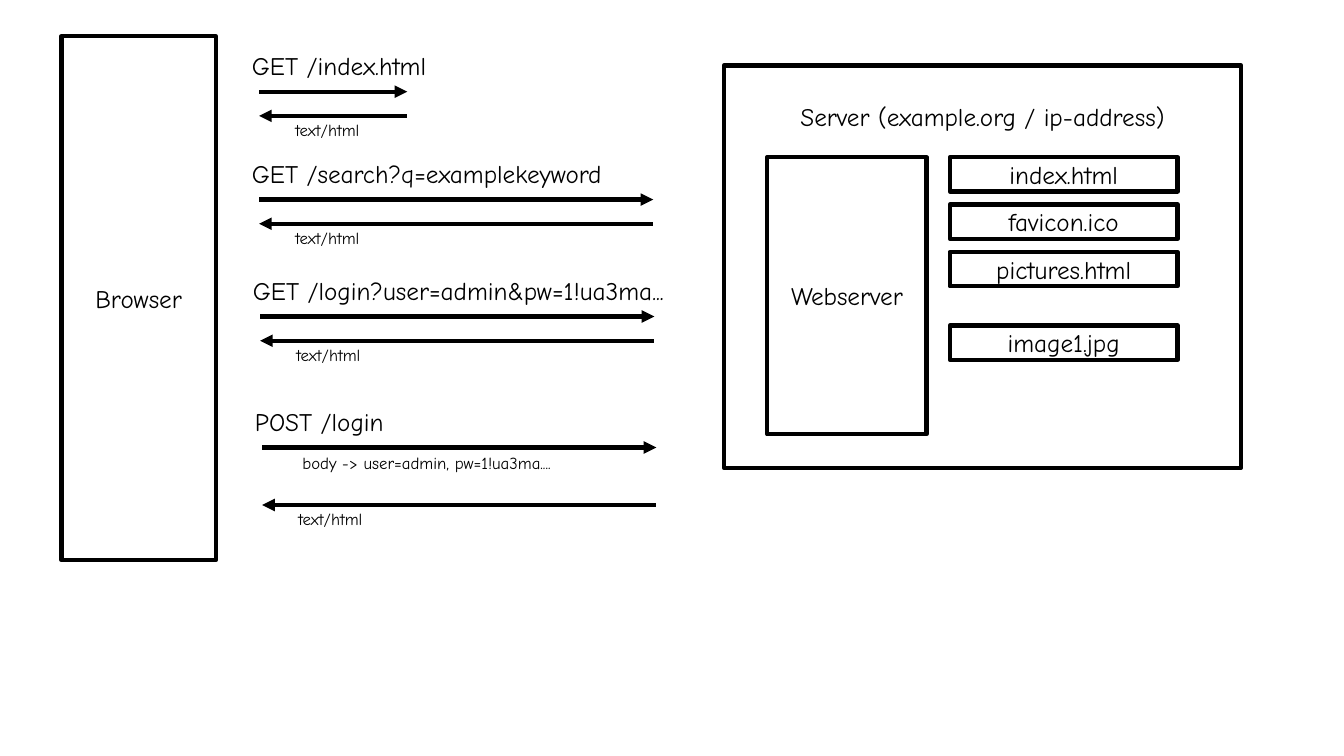
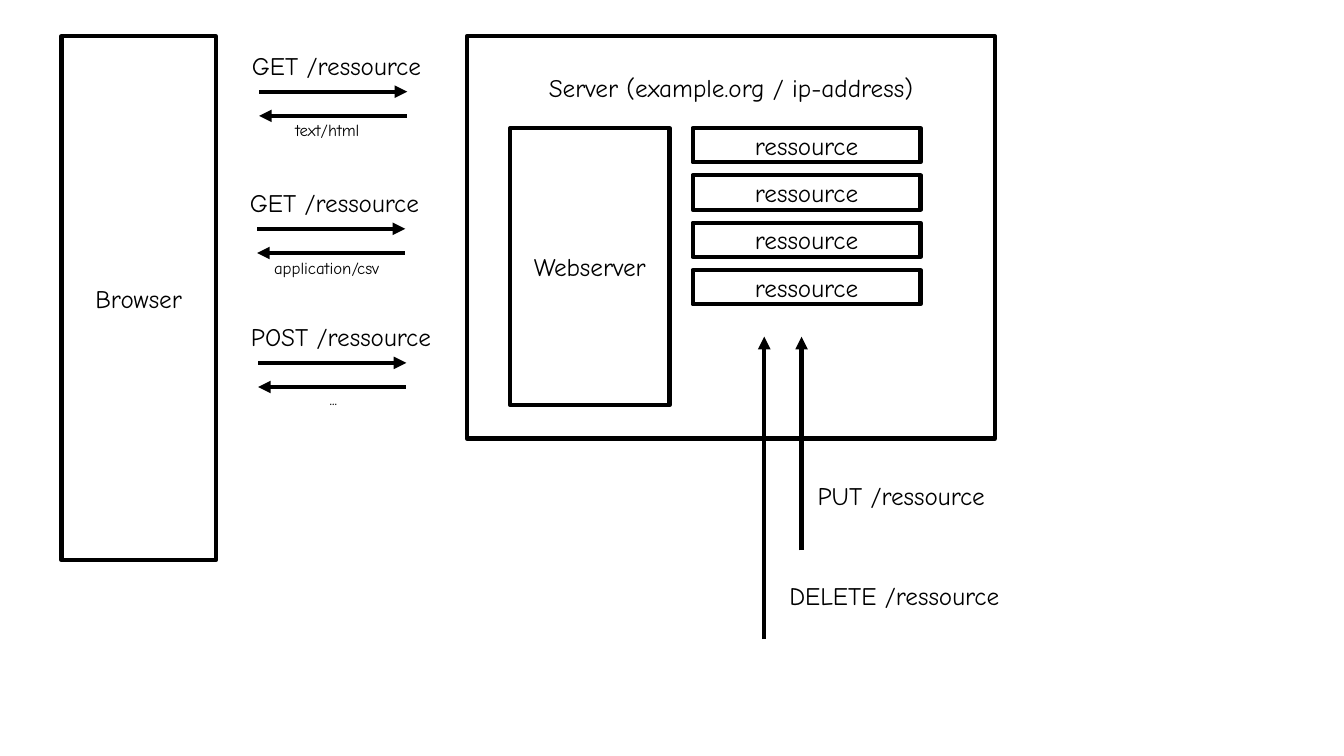
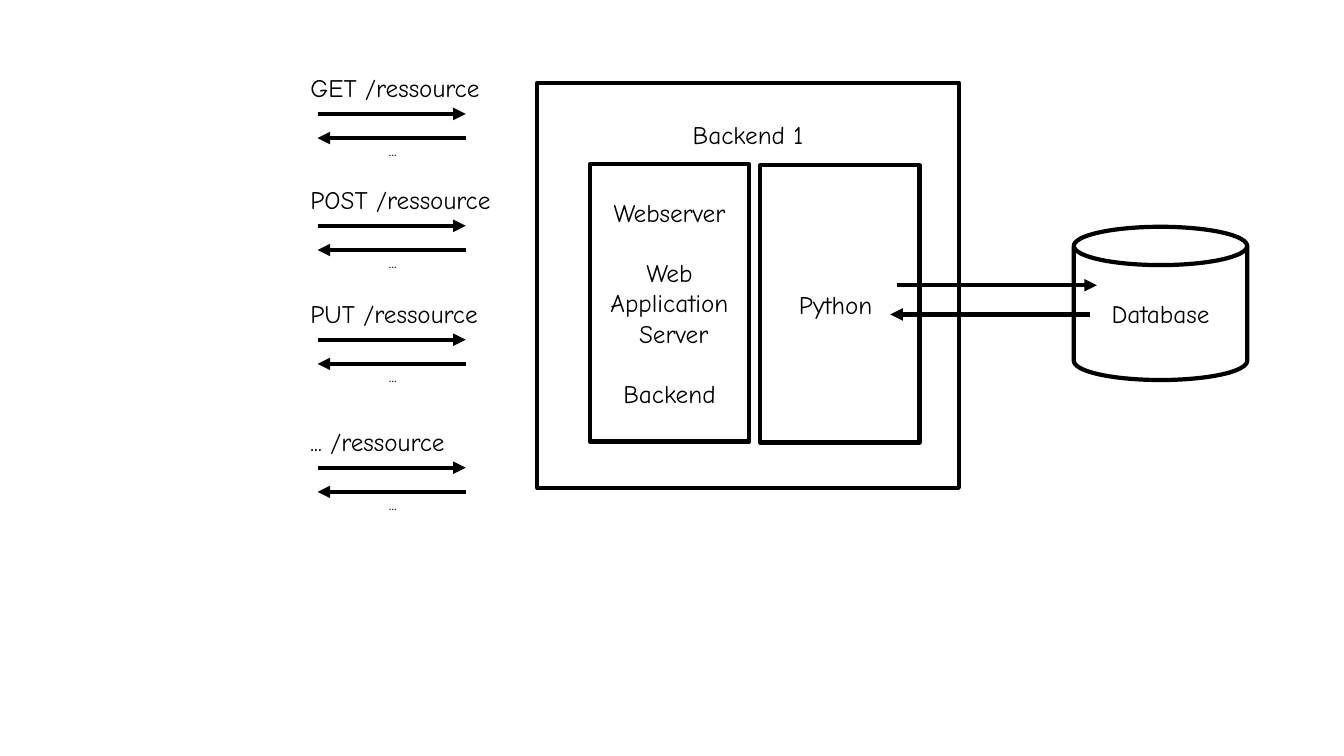
from pptx import Presentation
from pptx.dml.color import RGBColor
from pptx.enum.shapes import MSO_CONNECTOR as Connector, MSO_SHAPE as Shape
from pptx.enum.text import MSO_ANCHOR as Anchor, MSO_AUTO_SIZE as AutoSize, PP_ALIGN as Align
from pptx.oxml.ns import qn
from pptx.util import Inches, Pt
from lxml.etree import SubElement

COLORS = {"ink": "000000", "paper": "FFFFFF"}
FONT = "Comic Neue"
BODY, SMALL = 18, 12
LINE_WIDTH = Pt(3)
BLOCK_GAP = Pt(21.5)
SHORT, LONG = 1.47, 3.91
ROW_STEP = 0.47
# Offset from the arrow's left end, drop below the reply arrow, and width
NOTES = {
    "text/html": (0.26, -0.01, 0.99),
    "application/csv": (0.07, 0, 1.37),
    "...": (0.61, -0.03, 0.33),
}


def color(name):
    """Return a named colour."""
    return RGBColor.from_string(COLORS[name])


def format_text(frame, size, align):
    """Apply the shared font and an alignment to all text in a frame."""
    for paragraph in frame.paragraphs:
        paragraph.alignment = align
        for span in paragraph.runs:
            span.font.name = FONT
            span.font.size = Pt(size)
            span.font.color.rgb = color("ink")


def add_box(page, text, left, top, width, height, kind=Shape.RECTANGLE):
    """Draw an outlined shape with centred text."""
    box = page.shapes.add_shape(
        kind, Inches(left), Inches(top), Inches(width), Inches(height))
    box.shadow.inherit = False
    box.fill.solid()
    box.fill.fore_color.rgb = color("paper")
    box.line.color.rgb = color("ink")
    box.line.width = LINE_WIDTH
    frame = box.text_frame
    frame.word_wrap = True
    frame.vertical_anchor = Anchor.MIDDLE
    frame.text = text
    format_text(frame, BODY, Align.CENTER)
    return box


def add_container(page, title, left, top, width, height):
    """Draw a large box with its title near the top."""
    frame = add_box(page, title, left, top, width, height).text_frame
    frame.vertical_anchor = Anchor.TOP
    frame.margin_top = Inches(0.36)


def add_label(page, text, left, top, width, size=BODY):
    """Write one line of left-aligned text."""
    height = 0.4 if size == BODY else 0.3
    box = page.shapes.add_textbox(
        Inches(left), Inches(top), Inches(width), Inches(height))
    frame = box.text_frame
    frame.word_wrap = True
    frame.auto_size = AutoSize.SHAPE_TO_FIT_TEXT
    frame.text = text
    format_text(frame, size, Align.LEFT)


def add_arrow(page, start, end, tip="a:tailEnd"):
    """Draw a line with an arrowhead at its end, or at its start for a:headEnd."""
    points = [Inches(value) for value in (*start, *end)]
    arrow = page.shapes.add_connector(Connector.STRAIGHT, *points)
    arrow.line.color.rgb = color("ink")
    arrow.line.width = LINE_WIDTH
    properties = arrow._element.spPr
    SubElement(properties.find(qn("a:ln")), qn(tip), type="triangle")
    SubElement(properties, qn("a:effectLst"))


def add_exchange(page, request, label_width, left, top,
                 length=SHORT, note="text/html", gap=0.24):
    """Draw a request arrow, its label, the reply arrow and the reply's type."""
    right, reply = left + length, top + gap
    add_arrow(page, (left, top), (right, top))
    add_arrow(page, (left, reply), (right, reply), "a:headEnd")
    add_label(page, request, left - 0.17, top - 0.46, label_width)
    shift, drop, note_width = NOTES[note]
    add_label(page, note, left + shift, reply + drop, note_width, SMALL)


def add_browser(page):
    """Draw the browser column."""
    add_box(page, "Browser", 0.61, 0.36, 1.53, 5.2)


def add_server(page, left, top, width, files, last_gap=0):
    """Draw a server with its webserver and a column of files."""
    add_container(page, "Server (example.org / ip-address)", left, top, width, 3.99)
    inner_top = top + 0.91
    add_box(page, "Webserver", left + 0.43, inner_top, 1.58, 2.75)
    for row, name in enumerate(files):
        extra = last_gap if row == len(files) - 1 else 0
        add_box(page, name, left + 2.24, inner_top + row * ROW_STEP + extra, 2.26, 0.34)


def build_requests(page):
    """Browser requests for files, a search and a login."""
    add_browser(page)
    add_server(page, 7.18, 0.65, 5.13,
               ["index.html", "favicon.ico", "pictures.html", "image1.jpg"], 0.26)
    add_exchange(page, "GET /index.html", 2.14, 2.57, 0.91)
    add_exchange(page, "GET /search?q=examplekeyword", 4.03, 2.57, 1.98, LONG)
    add_exchange(page, "GET /login?user=admin&pw=1!ua3ma...", 4.56, 2.58, 3.14, LONG)
    add_exchange(page, "POST /login", 1.62, 2.6, 4.44, LONG, gap=0.57)
    add_label(page, "body -> user=admin, pw=1!ua3ma....", 2.9, 4.44, 3.15, SMALL)


def build_resources(page):
    """HTTP methods acting on the resources of a server."""
    add_browser(page)
    add_server(page, 4.63, 0.36, 5.24, ["ressource"] * 4)
    add_exchange(page, "GET /ressource", 2.07, 2.57, 0.91)
    add_exchange(page, "GET /ressource", 2.07, 2.55, 2.27, note="application/csv")
    add_exchange(page, "POST /ressource", 2.25, 2.56, 3.6, note="...")
    add_arrow(page, (7.95, 5.46), (7.95, 3.34))
    add_label(page, "PUT /ressource", 8.01, 4.72, 2.05)
    add_arrow(page, (7.58, 6.34), (7.58, 3.34))
    add_label(page, "DELETE /ressource", 7.73, 5.71, 2.71)


def build_backend(page):
    """A backend that answers requests with the help of a database."""
    add_container(page, "Backend 1", 5.33, 0.82, 4.18, 4.02)
    layers = add_box(page, "Webserver\nWeb Application\n Server\nBackend",
                     5.85, 1.63, 1.58, 2.75)
    for index in (1, 3):
        layers.text_frame.paragraphs[index].space_before = BLOCK_GAP
    add_box(page, "Python ", 7.54, 1.64, 1.58, 2.75)
    add_box(page, "Database", 10.65, 2.25, 1.72, 1.52, Shape.CAN)
    requests = [("GET", 2.07, 1.13), ("POST", 2.25, 2.24),
                ("PUT", 2.05, 3.37), ("...", 1.76, 4.64)]
    for method, width, top in requests:
        add_exchange(page, f"{method} /ressource", width, 3.15, top, note="...")
    add_arrow(page, (8.9, 2.83), (10.88, 2.83))
    add_arrow(page, (8.83, 3.12), (10.81, 3.12), "a:headEnd")


def main():
    """Build the deck and save it."""
    deck = Presentation()
    deck.slide_width, deck.slide_height = Inches(13.33), Inches(7.5)
    blank = deck.slide_layouts.get_by_name("Blank")
    for build in (build_requests, build_resources, build_backend):
        build(deck.slides.add_slide(blank))
    deck.save("out.pptx")


main()
